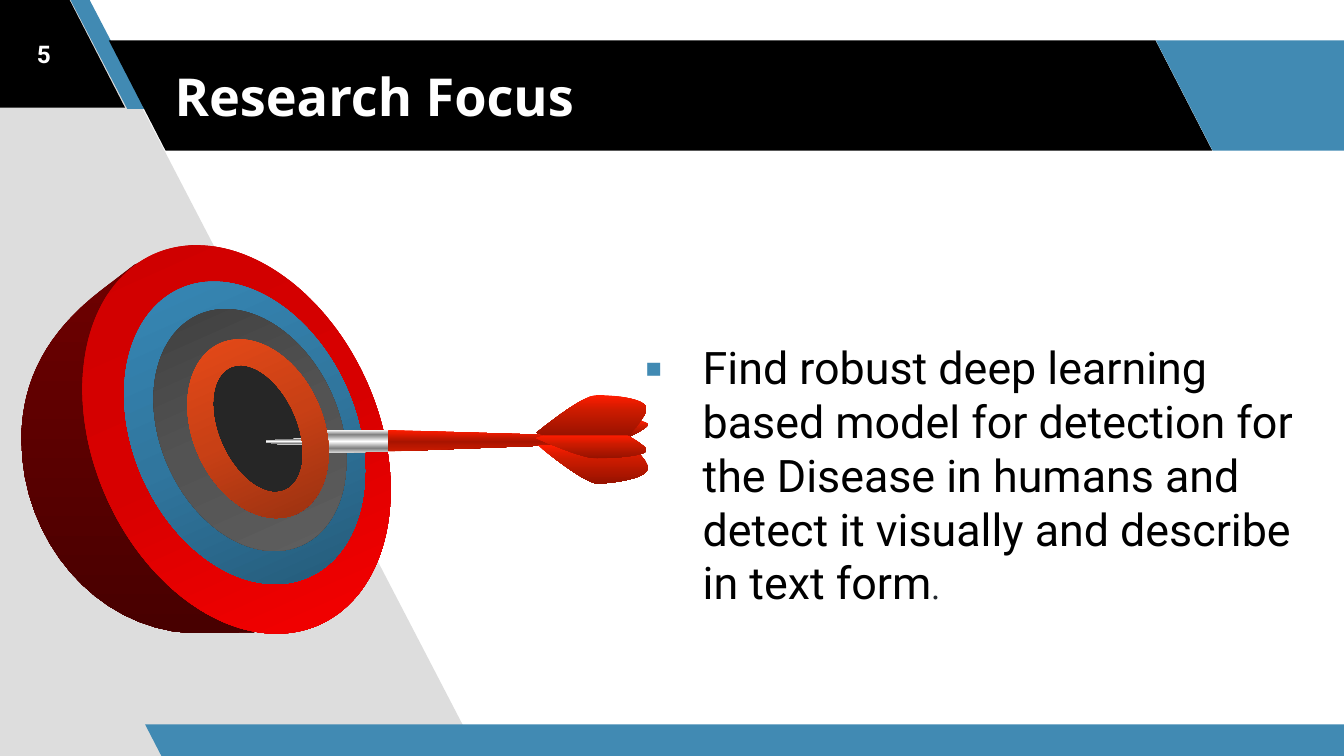
from copy import deepcopy
from dataclasses import dataclass

from lxml import etree
from pptx import Presentation
from pptx.dml.color import RGBColor
from pptx.enum.shapes import MSO_SHAPE
from pptx.enum.text import MSO_ANCHOR, PP_ALIGN
from pptx.oxml.ns import qn
from pptx.util import Emu, Inches, Pt

COLUMNS = 10
ROWS = COLUMNS * 9 / 16
UNIT = Inches(1)

WHITE = RGBColor(0xFF, 0xFF, 0xFF)
BLACK = RGBColor(0x00, 0x00, 0x00)
BLUE = RGBColor(0x41, 0x8A, 0xB3)
GREY = RGBColor(0xDD, 0xDD, 0xDD)
INK = RGBColor(0x24, 0x29, 0x2F)
BULLSEYE = RGBColor(0x26, 0x26, 0x26)
BRIGHT_RED = RGBColor(0xFF, 0x1C, 0x00)
MID_RED = RGBColor(0xCC, 0x1B, 0x00)
DARK_RED = RGBColor(0x96, 0x12, 0x00)
SILVER = RGBColor(0x80, 0x80, 0x80)
PALE_SILVER = RGBColor(0xD9, 0xD9, 0xD9)

SIDE_STOPS = [(0, RGBColor(0x70, 0, 0)), (1, RGBColor(0x48, 0, 0))]
RED_STOPS = [(0, RGBColor(0xCC, 0, 0)), (0.5, RGBColor(0xD7, 0, 0)), (1, RGBColor(0xFF, 0, 0))]
BLUE_STOPS = [(0, RGBColor(0x38, 0x8C, 0xBC)), (0.5, RGBColor(0x30, 0x76, 0x9E)),
              (1, RGBColor(0x21, 0x53, 0x6F))]
GREY_STOPS = [(0, RGBColor(0x3A, 0x3A, 0x3A)), (0.5, RGBColor(0x53, 0x53, 0x53)),
              (1, RGBColor(0x62, 0x62, 0x62))]
ORANGE_STOPS = [(0, RGBColor(0xED, 0x4C, 0x19)), (0.5, RGBColor(0xC8, 0x40, 0x15)),
                (1, RGBColor(0x8C, 0x2D, 0x0F))]
SHAFT_STOPS = [(0, BRIGHT_RED), (0.54, RGBColor(0xA8, 0x14, 0)), (1, MID_RED)]
FEATHER_STOPS = [(0, BRIGHT_RED), (0.37, MID_RED), (1, DARK_RED)]
METAL_STOPS = [(0, WHITE), (0.2, SILVER), (0.5, WHITE), (0.8, SILVER), (1, PALE_SILVER)]


@dataclass
class Box:
    left: float
    top: float
    width: float
    height: float

    def inner(self, left, top, width, height):
        return Box(self.left + left, self.top + top, width, height)

    def lengths(self):
        return [Emu(round(value * UNIT))
                for value in (self.left, self.top, self.width, self.height)]


def paint(shape, fill):
    shape.shadow.inherit = False
    shape.line.fill.background()
    if isinstance(fill, RGBColor):
        shape.fill.solid()
        shape.fill.fore_color.rgb = fill
        return
    shape.fill.gradient()
    shape.fill.gradient_angle = 270
    stop_list = shape._element.spPr.find(qn("a:gradFill")).find(qn("a:gsLst"))
    for _ in fill[2:]:
        stop_list.append(deepcopy(stop_list[0]))
    for stop, (position, color) in zip(shape.fill.gradient_stops, fill):
        stop.position = position
        stop.color.rgb = color


def add_preset(slide, preset, box, fill, adjustment=None, rotation=0):
    shape = slide.shapes.add_shape(preset, *box.lengths())
    if adjustment is not None:
        shape.adjustments[0] = adjustment
    shape.rotation = rotation
    paint(shape, fill)
    return shape


def curve_points(start, curve, steps=16):
    for step in range(1, steps + 1):
        t = step / steps
        weights = ((1 - t) ** 3, 3 * t * (1 - t) ** 2, 3 * t * t * (1 - t), t ** 3)
        points = (start, curve[:2], curve[2:4], curve[4:])
        yield tuple(sum(w * p[axis] for w, p in zip(weights, points)) for axis in (0, 1))


def add_outline(slide, box, segments, fill):
    points = [segments[0]]
    for segment in segments[1:]:
        points.extend([segment] if len(segment) == 2 else curve_points(points[-1], segment))
    points = [((box.left + x) * UNIT, (box.top + y) * UNIT) for x, y in points]
    builder = slide.shapes.build_freeform(*points[0])
    builder.add_line_segments(points[1:])
    paint(builder.convert_to_shape(), fill)


def set_font(font, name, size, color, bold=False):
    font.name, font.size, font.bold = name, Pt(size), bold
    font.color.rgb = color


def draw_frame(slide, box):
    add_outline(slide, box, [(3.56, 5.62), (0.62, -0.04), (-0.06, -0.04), (-0.02, 5.66)], GREY)
    bands = [
        (-0.99, -0.02, 1.92, 0.82, BLACK, 0.515),
        (0.52, -0.01, 0.57, 0.82, BLUE, 0.75),
        (0.81, 0.3, 8.21, 0.82, BLACK, 0.515),
        (8.6, 0.3, 1.92, 0.82, BLUE, 0.515),
        (1.08, 5.39, 9.15, 0.25, BLUE, 0.515),
    ]
    for *place, color, slant in bands:
        band = add_preset(slide, MSO_SHAPE.PARALLELOGRAM, box.inner(*place), color, slant)
        band._element.spPr.xfrm.set("flipH", "1")


def place_title(slide, box):
    title = slide.shapes.title
    title.left, title.top, title.width, title.height = box.lengths()
    slide.shapes._spTree.append(title._element)
    title.text_frame.text = "Research Focus"
    title.text_frame.vertical_anchor = MSO_ANCHOR.MIDDLE
    paragraph = title.text_frame.paragraphs[0]
    paragraph.alignment = PP_ALIGN.LEFT
    set_font(paragraph.font, "Open Sans", 28, WHITE, True)


def add_text_frame(slide, box):
    frame = slide.shapes.add_textbox(*box.lengths()).text_frame
    frame.word_wrap = True
    frame.margin_left = frame.margin_right = frame.margin_top = frame.margin_bottom = Inches(0.1)
    return frame


def place_page_number(slide, box):
    frame = add_text_frame(slide, box)
    frame.vertical_anchor = MSO_ANCHOR.MIDDLE
    paragraph = frame.paragraphs[0]
    paragraph.text = "5"
    paragraph.alignment = PP_ALIGN.CENTER
    set_font(paragraph.font, "Roboto", 13, WHITE, True)


def place_body(slide, box):
    frame = add_text_frame(slide, box)
    frame.margin_top = Inches(1.07)
    paragraph = frame.paragraphs[0]
    for text, name, size, color in (
        ("Find robust deep learning based model for detection for the Disease in humans "
         "and detect it visually and describe in text form", "Roboto", 24, BLACK),
        (".", "Times New Roman", 18, INK),
    ):
        run = paragraph.add_run()
        run.text = text
        set_font(run.font, name, size, color)
    properties = paragraph._p.get_or_add_pPr()
    properties.set("marL", str(Inches(0.5)))
    properties.set("indent", str(-Inches(0.43)))
    bullet_color = etree.SubElement(properties, qn("a:buClr"))
    etree.SubElement(bullet_color, qn("a:srgbClr")).set("val", str(BLUE))
    etree.SubElement(properties, qn("a:buFont")).set("typeface", "Roboto")
    etree.SubElement(properties, qn("a:buChar")).set("char", "▪")


def add_ring(slide, box, center_x, center_y, width, height, thickness, fill):
    place = box.inner(center_x - width / 2, center_y - height / 2, width, height)
    preset = MSO_SHAPE.DONUT if thickness else MSO_SHAPE.OVAL
    add_preset(slide, preset, place, fill, thickness, 336)


def draw_target(slide, box):
    side = [(1.29, 0), (1.07, 0.04), (0.84, 0.15), (0.58, 0.35),
            (0.2, 0.65, 0, 1, 0, 1.45), (0, 2.2, 0.55, 2.85, 1.25, 2.89), (1.89, 2.88)]
    add_outline(slide, box, side, SIDE_STOPS)
    add_ring(slide, box, 1.6, 1.45, 2.12, 3.02, 0.18, RED_STOPS)
    add_ring(slide, box, 1.66, 1.4, 1.66, 2.35, 0.18, BLUE_STOPS)
    add_ring(slide, box, 1.7, 1.38, 1.33, 1.88, 0.22, GREY_STOPS)
    add_ring(slide, box, 1.77, 1.37, 0.75, 1.15, None, BULLSEYE)


def draw_dart(slide, box):
    parts = [
        ([(0.91, 0.26), (0.91, 0.42), (2.22, 0.37), (2.22, 0.3)], SHAFT_STOPS),
        ([(2.12, 0.37), (2.02, 0.37), (2.02, 0.37, 2.35, 0.65, 2.47, 0.66),
          (2.61, 0.65, 2.84, 0.62, 2.84, 0.54), (2.84, 0.52, 2.81, 0.47, 2.78, 0.44),
          (2.71, 0.46, 2.56, 0.47, 2.46, 0.47), (2.38, 0.47, 2.23, 0.41, 2.12, 0.37)],
         FEATHER_STOPS),
        ([(2.78, 0.19), (2.74, 0.25, 2.69, 0.3, 2.69, 0.3), (2.7, 0.31),
          (2.73, 0.3, 2.84, 0.24, 2.84, 0.22), (2.84, 0.21, 2.82, 0.2, 2.78, 0.19)],
         FEATHER_STOPS),
        ([(2.47, 0), (2.46, 0), (2.35, 0, 2.04, 0.26, 2.01, 0.28), (2.08, 0.3), (2.69, 0.31),
          (2.69, 0.31, 2.83, 0.16, 2.83, 0.1), (2.83, 0.03, 2.61, 0, 2.47, 0)], FEATHER_STOPS),
        ([(2.69, 0.3), (2.07, 0.3), (2.01, 0.32), (2.01, 0.32, 2.34, 0.47, 2.46, 0.47),
          (2.6, 0.47, 2.83, 0.45, 2.83, 0.41), (2.83, 0.38, 2.69, 0.3, 2.69, 0.3)],
         FEATHER_STOPS),
        ([(0.44, 0.26), (0.44, 0.43), (0.91, 0.42), (0.91, 0.26)], METAL_STOPS),
        ([(0.39, 0.42), (0.38, 0.4), (0.38, 0.29), (0.39, 0.27), (0.44, 0.26), (0.44, 0.44)],
         METAL_STOPS),
        ([(0.12, 0.33), (0, 0.34), (0, 0.35), (0.12, 0.37), (0.38, 0.37), (0.38, 0.32)],
         METAL_STOPS),
    ]
    for segments, fill in parts:
        add_outline(slide, box, segments, fill)


def build_focus_slide(presentation):
    slide = presentation.slides.add_slide(presentation.slide_layouts[5])
    draw_frame(slide, Box(0, 0, COLUMNS, ROWS))
    place_title(slide, Box(1.2, 0.3, 8.28, 0.82))
    place_page_number(slide, Box(0, 0, 0.65, 0.8))
    place_body(slide, Box(4.63, 1.46, 5.39, 4.27))
    target = Box(0.16, 1.82, 2.74, 2.89)
    draw_target(slide, target)
    draw_dart(slide, Box(1.98, 2.94, 2.84, 0.66))
    add_ring(slide, target, 1.76, 1.37, 0.97, 1.39, 0.2, ORANGE_STOPS)


presentation = Presentation()
presentation.slide_width = Emu(round(COLUMNS * UNIT))
presentation.slide_height = Emu(round(ROWS * UNIT))
build_focus_slide(presentation)
presentation.save("out.pptx")
